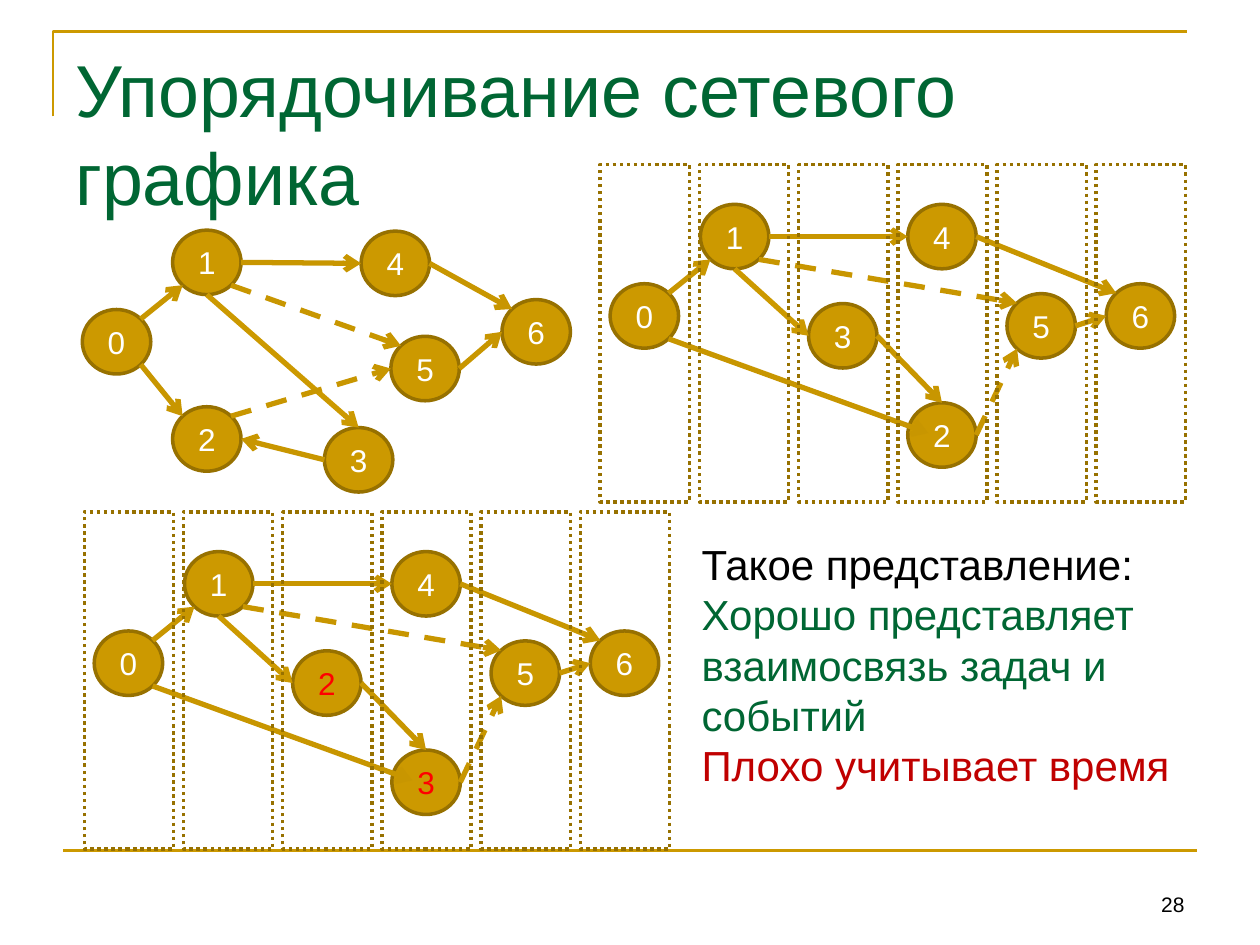
from dataclasses import dataclass
from typing import NamedTuple

import pptx
import pptx.util
import pptx.dml.color
import pptx.enum.dml
import pptx.enum.shapes
import pptx.enum.text
import pptx.oxml
import pptx.oxml.ns

WIDE, HIGH = 10, 7.5
STEP = 0.7874          # side of one grid cell, inches
NODE_W, NODE_H = 0.69, 0.65
COL_W, COL_H, COLS = 0.9, 3.4, 6

Dash = pptx.enum.dml.MSO_LINE
Kind = pptx.enum.shapes.MSO_SHAPE
Wire = pptx.enum.shapes.MSO_CONNECTOR
Side = pptx.enum.text.PP_ALIGN
Hold = pptx.enum.text.MSO_ANCHOR


@dataclass(frozen=True)
class Theme:
    gold: str = "CC9900"
    edge: str = "C89600"
    rim: str = "977100"
    green: str = "006633"
    black: str = "000000"
    white: str = "FFFFFF"
    red: str = "FF0000"
    warn: str = "C00000"
    font: str = "Arial"
    title: int = 42
    body: int = 24
    label: int = 18
    page: int = 12
    rule: float = 1.5
    thin: float = 2
    bold: float = 3


class Node(NamedTuple):
    col: float
    row: float
    text: str
    hue: str


class Edge(NamedTuple):
    tail: str          # node key, then the spot on its rim
    head: str
    dash: bool = False
    hue: str = ""


class Graph(NamedTuple):
    col: float
    row: float
    nodes: dict[str, Node]
    edges: list[Edge]
    lanes: bool


class Run(NamedTuple):
    text: str
    hue: str


T = Theme()
D = 0.5 ** 0.5 / 2     # diagonal rim point, as a share of the node
SPOTS = {"t": (0, -0.5), "b": (0, 0.5), "l": (-0.5, 0), "r": (0.5, 0),
         "tl": (-D, -D), "tr": (D, -D), "bl": (-D, D), "br": (D, D),
         "in": (-0.2, -0.03)}

COMMON = [Edge("0tr", "1bl"), Edge("1r", "4l"), Edge("5r", "6l"),
          Edge("1br", "5tl", True), Edge("4r", "6tl")]
LOOSE = COMMON + [Edge("0br", "2tl"), Edge("3l", "2r"),
                  Edge("1b", "3t", hue=T.gold), Edge("2tr", "5l", True)]
SORTED = COMMON + [Edge("0br", "2in"), Edge("3r", "2t"),
                   Edge("1b", "3l", hue=T.gold), Edge("2r", "5bl", True)]

FREE = {"0": (0, 0.8), "1": (0.91, 0), "2": (0.91, 1.78), "3": (2.44, 1.99),
        "4": (2.81, 0.01), "5": (3.11, 1.07), "6": (4.23, 0.7)}
LANED = {"0": (0.1, 1.2), "1": (1.01, 0.4), "2": (3.1, 2.4), "3": (2.1, 1.4),
         "4": (3.1, 0.4), "5": (4.1, 1.3), "6": (5.1, 1.2)}


def label(places: dict, swap: dict[str, str]) -> dict[str, Node]:
    """Name each node by its key; renumbered nodes turn red."""
    return {key: Node(*at, swap.get(key, key), T.red if key in swap else T.white)
            for key, at in places.items()}


GRAPHS = [Graph(0.83, 2.32, label(FREE, {}), LOOSE, False),
          Graph(6.05, 1.66, label(LANED, {}), SORTED, True),
          Graph(0.85, 5.16, label(LANED, {"2": "3", "3": "2"}), SORTED, True)]


def rgb(hue: str) -> pptx.dml.color.RGBColor:
    return pptx.dml.color.RGBColor.from_string(hue)


def cells(*spans: float) -> list[int]:
    return [pptx.util.Inches(s * STEP) for s in spans]


def share(*parts: float) -> list[int]:
    """Turn alternating shares of slide width and height into lengths."""
    return [pptx.util.Inches(p * (HIGH if i % 2 else WIDE))
            for i, p in enumerate(parts)]


def stroke(shape, hue: str, size: float, dash=None) -> None:
    shape.line.color.rgb = rgb(hue)
    shape.line.width = pptx.util.Pt(size)
    if dash is not None:
        shape.line.dash_style = dash


def write(par, run: Run, size: int, align=Side.LEFT) -> None:
    par.alignment = align
    bit = par.add_run()
    bit.text = run.text
    bit.font.name, bit.font.size = T.font, pptx.util.Pt(size)
    bit.font.color.rgb = rgb(run.hue)


def put_text(slide, box: list[int], runs: list[Run], size: int,
             align=Side.LEFT, hold=Hold.TOP) -> None:
    frame = slide.shapes.add_textbox(*box).text_frame
    frame.word_wrap, frame.vertical_anchor = True, hold
    for i, run in enumerate(runs):
        write(frame.add_paragraph() if i else frame.paragraphs[0], run, size, align)


def put_line(slide, ends: list[int], hue: str, size: float,
             dash=None, arrow: bool = False) -> None:
    wire = slide.shapes.add_connector(Wire.STRAIGHT, *ends)
    stroke(wire, hue, size, dash)
    props = wire._element.spPr
    if arrow:
        tip = pptx.oxml.ns.qn("a:tailEnd")
        props.find(pptx.oxml.ns.qn("a:ln")).makeelement(tip)
        pptx.oxml.xmlchemy.OxmlElement("a:tailEnd")
        end = pptx.oxml.xmlchemy.OxmlElement("a:tailEnd")
        end.set("type", "arrow")
        props.find(pptx.oxml.ns.qn("a:ln")).append(end)
    props.append(pptx.oxml.xmlchemy.OxmlElement("a:effectLst"))


def put_node(slide, graph: Graph, node: Node) -> None:
    disc = slide.shapes.add_shape(Kind.OVAL, *cells(
        graph.col + node.col, graph.row + node.row, NODE_W, NODE_H))
    disc.shadow.inherit = False
    disc.fill.solid()
    disc.fill.fore_color.rgb = rgb(T.gold)
    stroke(disc, T.rim, T.thin)
    frame = disc.text_frame
    frame.vertical_anchor = Hold.MIDDLE
    frame.margin_left = frame.margin_right = 0
    write(frame.paragraphs[0], Run(node.text, node.hue), T.label, Side.CENTER)


def spot(graph: Graph, end: str) -> list[int]:
    node, (dx, dy) = graph.nodes[end[0]], SPOTS[end[1:]]
    return cells(graph.col + node.col + NODE_W * (0.5 + dx),
                 graph.row + node.row + NODE_H * (0.5 + dy))


def put_graph(slide, graph: Graph) -> None:
    for node in graph.nodes.values():
        put_node(slide, graph, node)
    for edge in graph.edges:
        put_line(slide, spot(graph, edge.tail) + spot(graph, edge.head),
                 edge.hue or T.edge, T.bold, Dash.DASH if edge.dash else None, True)
    for i in range(COLS if graph.lanes else 0):
        lane = slide.shapes.add_shape(Kind.RECTANGLE, *cells(
            graph.col + i, graph.row, COL_W, COL_H))
        lane.shadow.inherit = False
        lane.fill.background()
        stroke(lane, T.rim, T.thin, Dash.ROUND_DOT)


def put_frame(slide) -> None:
    """Draw the corner rule at the top and the rule at the foot."""
    pen = slide.shapes.build_freeform(*share(0.042, 0.123))
    pen.add_line_segments([share(0.042, 0.033), share(0.942, 0.033)], close=False)
    rule = pen.convert_to_shape()
    rule.shadow.inherit = False
    rule.fill.background()
    stroke(rule, T.gold, T.rule)
    put_line(slide, share(0.05, 0.9, 0.95, 0.9), T.gold, T.rule)


def main() -> None:
    deck = pptx.Presentation()
    deck.slide_width, deck.slide_height = share(1, 1)
    slide = deck.slides.add_slide(deck.slide_layouts[6])
    put_frame(slide)
    put_text(slide, share(0.05, 0.04, 0.9, 0.17),
             [Run("Упорядочивание сетевого графика", T.green)], T.title)
    put_text(slide, share(0.717, 0.91, 0.233, 0.067), [Run("28", T.black)],
             T.page, Side.RIGHT, Hold.BOTTOM)
    for graph in GRAPHS:
        put_graph(slide, graph)
    put_text(slide, share(0.547, 0.563, 0.417, 0.283), [
        Run("Такое представление:", T.black),
        Run("Хорошо представляет взаимосвязь задач и событий", T.green),
        Run("Плохо учитывает время", T.warn)], T.body)
    deck.save("out.pptx")


if __name__ == "__main__":
    main()
